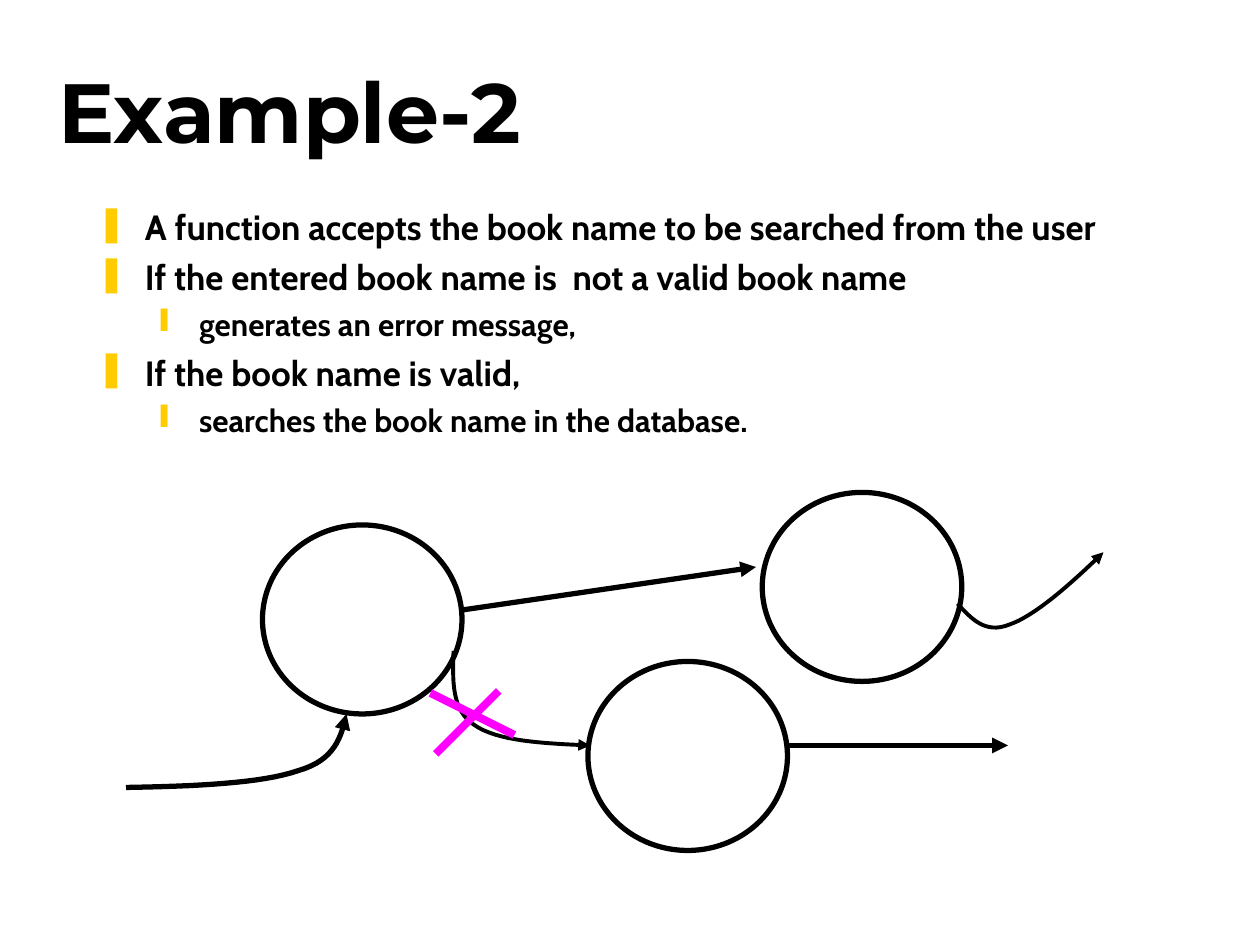
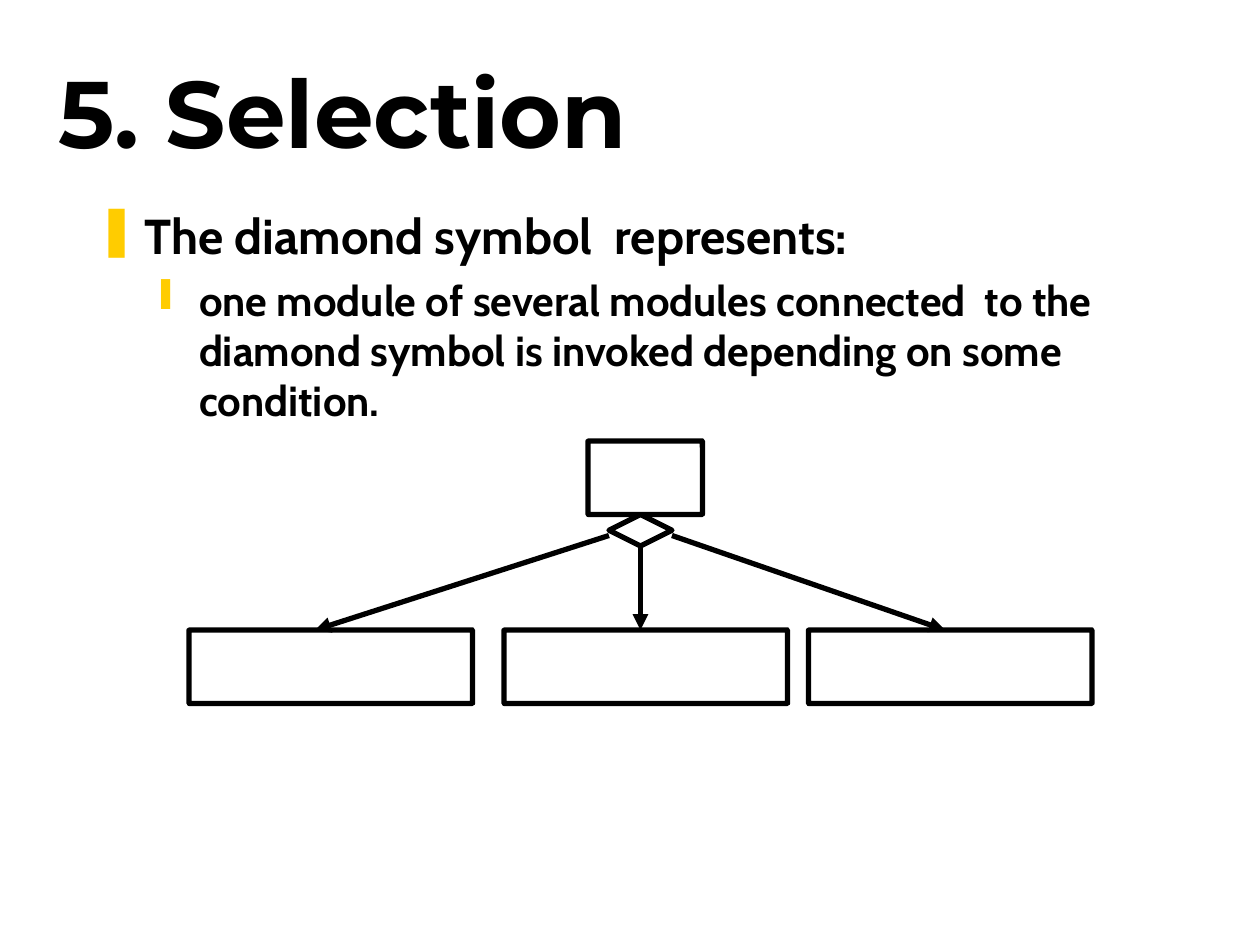
from lxml import etree
from pptx import Presentation
from pptx import util as u
from pptx.dml.color import RGBColor
from pptx.enum import shapes, text
from pptx.oxml.ns import qn

COLORS = {"ink": "000000", "bullet": "FFCC00", "cross": "FF00FF"}
TITLE_FONT, BODY_FONT = "Montserrat", "Cabin"
CELL = u.Inches(1) / 12  # the slide is a grid of 120 columns by 90 rows
COLUMNS, ROWS = 120, 90
TITLE_PLACE = (5.3, 3, 102, 15)
BODY_PLACE = (9, 19, 102, 54)
BULLETS = [  # one per outline level: character, text indent, hanging indent
    ("❚", 0.38, 0.38),
    ("❙", 0.81, 0.31),
]
CURVE_STEPS = 16

# Every outline row is (level, wording).
EXAMPLE = {
    "title": "Example-2", "title_size": 48, "title_before": 11,
    "sizes": (20, 18), "before": (4.7, 4.2),
    "outline": [
        (0, "A function accepts the book name to be searched from the user"),
        (0, "If the entered book name is  not a valid book name"),
        (1, "generates an error message,"),
        (0, "If the book name is valid,"),
        (1, "searches the book name in the database."),
    ],
}
SELECTION = {
    "title": "5. Selection", "title_size": 54, "title_before": 12.4,
    "sizes": (28, 24), "before": (6.4, 5.5),
    "outline": [
        (0, "The diamond symbol  represents:"),
        (1, "one module of several modules connected  to the diamond symbol "
            "is invoked depending on some condition."),
    ],
}

# Places on the grid, in columns and rows.
BUBBLE_SIZE = (19, 18)
BUBBLES = [(25, 50), (56, 63), (72.6, 46.9)]
FLOWS = [((44, 58.1), (72, 54)), ((75, 71), (96, 71))]
# Each curve is two cubic pieces sharing their middle point, then a width.
CURVED_FLOWS = [
    ([(12, 75), (18.5, 74.9), (25, 74.6), (28.4, 73.4),
      (31.9, 72.4), (32.5, 70.2), (33, 68)], 3),
    ([(91.2, 57.5), (92.5, 58.9), (93.8, 60.4), (96.1, 59.5),
      (98.5, 58.7), (101.9, 55.7), (105.1, 52.6)], 2.25),
    ([(43.2, 62), (43.1, 64.8), (43, 67.6), (45.1, 69),
      (47.3, 70.6), (51.7, 70.8), (56.2, 71)], 2.25),
]
CROSS = [((41.5, 71.8), (47.5, 65.8)), ((41, 66), (49, 70))]

ROOT_MODULE = (56, 42, 10.9, 7)
MODULE_TOP, MODULE_SIZE = 60, (27, 7)
MODULE_LEFTS = [18, 48, 77]
DIAMOND = (58, 49, 6, 3)
CALLS = [((58, 51), (30, 60)), ((61, 52), (61, 60)), ((64, 51), (90, 60))]


def grid(*cells):
    return [round(cell * CELL) for cell in cells]


def color(name):
    return RGBColor.from_string(COLORS[name])


def set_line(shape, width, name="ink", arrow=False):
    shape.line.color.rgb = color(name)
    shape.line.width = u.Pt(width)
    if arrow:
        line = shape.line._get_or_add_ln()
        etree.SubElement(line, qn("a:tailEnd"), type="triangle")


def set_frame(frame, anchor):
    frame.word_wrap = True
    frame.auto_size = text.MSO_AUTO_SIZE.NONE
    frame.vertical_anchor = anchor
    frame.margin_left = frame.margin_right = u.Inches(0.02)
    frame.margin_top = frame.margin_bottom = u.Inches(0.05)


def style_runs(paragraph, font, size):
    paragraph.alignment = text.PP_ALIGN.LEFT
    for run in paragraph.runs:
        run.font.name = font
        run.font.size = u.Pt(size)
        run.font.bold = True
        run.font.color.rgb = color("ink")


def add_bullet(paragraph, level):
    character, indent, hanging = BULLETS[level]
    paragraph.level = level
    properties = paragraph._p.get_or_add_pPr()
    properties.set("marL", str(u.Inches(indent)))
    properties.set("indent", str(-u.Inches(hanging)))
    bullet_color = etree.SubElement(properties, qn("a:buClr"))
    etree.SubElement(bullet_color, qn("a:srgbClr"), val=COLORS["bullet"])
    etree.SubElement(properties, qn("a:buChar"), char=character)


def add_text_slide(presentation, content):
    """Add a slide with its title and bulleted outline."""
    slide = presentation.slides.add_slide(presentation.slide_layouts[5])
    title = slide.shapes.title
    title.left, title.top, title.width, title.height = grid(*TITLE_PLACE)
    set_frame(title.text_frame, text.MSO_ANCHOR.MIDDLE)
    title.text_frame.text = content["title"]
    style_runs(title.text_frame.paragraphs[0], TITLE_FONT, content["title_size"])

    frame = slide.shapes.add_textbox(*grid(*BODY_PLACE)).text_frame
    set_frame(frame, text.MSO_ANCHOR.TOP)
    for index, (level, wording) in enumerate(content["outline"]):
        paragraph = frame.add_paragraph() if index else frame.paragraphs[0]
        paragraph.text = wording
        add_bullet(paragraph, level)
        if index:
            paragraph.space_before = u.Pt(content["before"][level])
        style_runs(paragraph, BODY_FONT, content["sizes"][level])
    return slide


def add_outline_shape(slide, kind, place):
    """Add an unfilled preset shape with a black outline."""
    shape = slide.shapes.add_shape(kind, *grid(*place))
    shape.shadow.inherit = False
    shape.fill.background()
    set_line(shape, 3)
    return shape


def add_module(slide, place):
    module = add_outline_shape(slide, shapes.MSO_SHAPE.ROUNDED_RECTANGLE, place)
    module.adjustments[0] = 0.003


def add_line(slide, ends, width=3, name="ink", arrow=True):
    start, end = ends
    line = slide.shapes.add_connector(
        shapes.MSO_CONNECTOR.STRAIGHT, *grid(*start, *end))
    set_line(line, width, name, arrow)
    etree.SubElement(line._element.spPr, qn("a:effectLst"))


def curve_points(controls):
    """Return points along a chain of cubic curves."""
    points = [controls[0]]
    for first in range(0, len(controls) - 1, 3):
        piece = controls[first:first + 4]
        for step in range(1, CURVE_STEPS + 1):
            t = step / CURVE_STEPS
            weights = ((1 - t) ** 3, 3 * t * (1 - t) ** 2,
                       3 * t ** 2 * (1 - t), t ** 3)
            points.append(tuple(
                sum(weight * point[axis] for weight, point in zip(weights, piece))
                for axis in (0, 1)))
    return points


def add_curved_arrow(slide, controls, width):
    start, *rest = [grid(*point) for point in curve_points(controls)]
    builder = slide.shapes.build_freeform(*start)
    builder.add_line_segments(rest, close=False)
    curve = builder.convert_to_shape()
    curve.shadow.inherit = False
    curve.fill.background()
    set_line(curve, width, arrow=True)


def draw_book_search(slide):
    for corner in BUBBLES:
        add_outline_shape(slide, shapes.MSO_SHAPE.OVAL, corner + BUBBLE_SIZE)
    for ends in FLOWS:
        add_line(slide, ends)
    for controls, width in CURVED_FLOWS:
        add_curved_arrow(slide, controls, width)
    for ends in CROSS:
        add_line(slide, ends, 4.5, "cross", arrow=False)


def draw_selection(slide):
    add_module(slide, ROOT_MODULE)
    for left in MODULE_LEFTS:
        add_module(slide, (left, MODULE_TOP, *MODULE_SIZE))
    for ends in CALLS:
        add_line(slide, ends)
    add_outline_shape(slide, shapes.MSO_SHAPE.DIAMOND, DIAMOND)


def main():
    presentation = Presentation()
    presentation.slide_width, presentation.slide_height = grid(COLUMNS, ROWS)
    draw_book_search(add_text_slide(presentation, EXAMPLE))
    draw_selection(add_text_slide(presentation, SELECTION))
    presentation.save("out.pptx")


if __name__ == "__main__":
    main()
